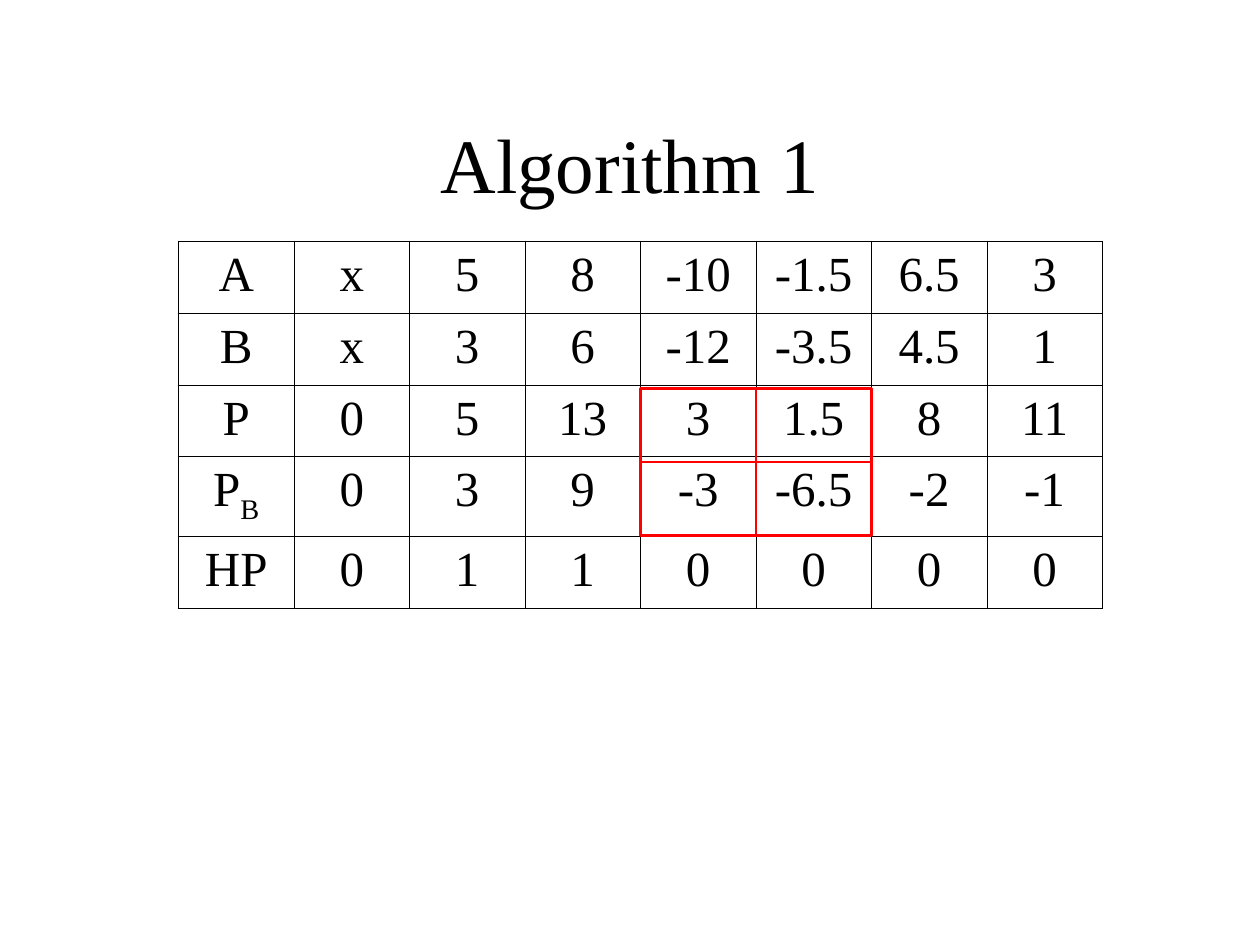
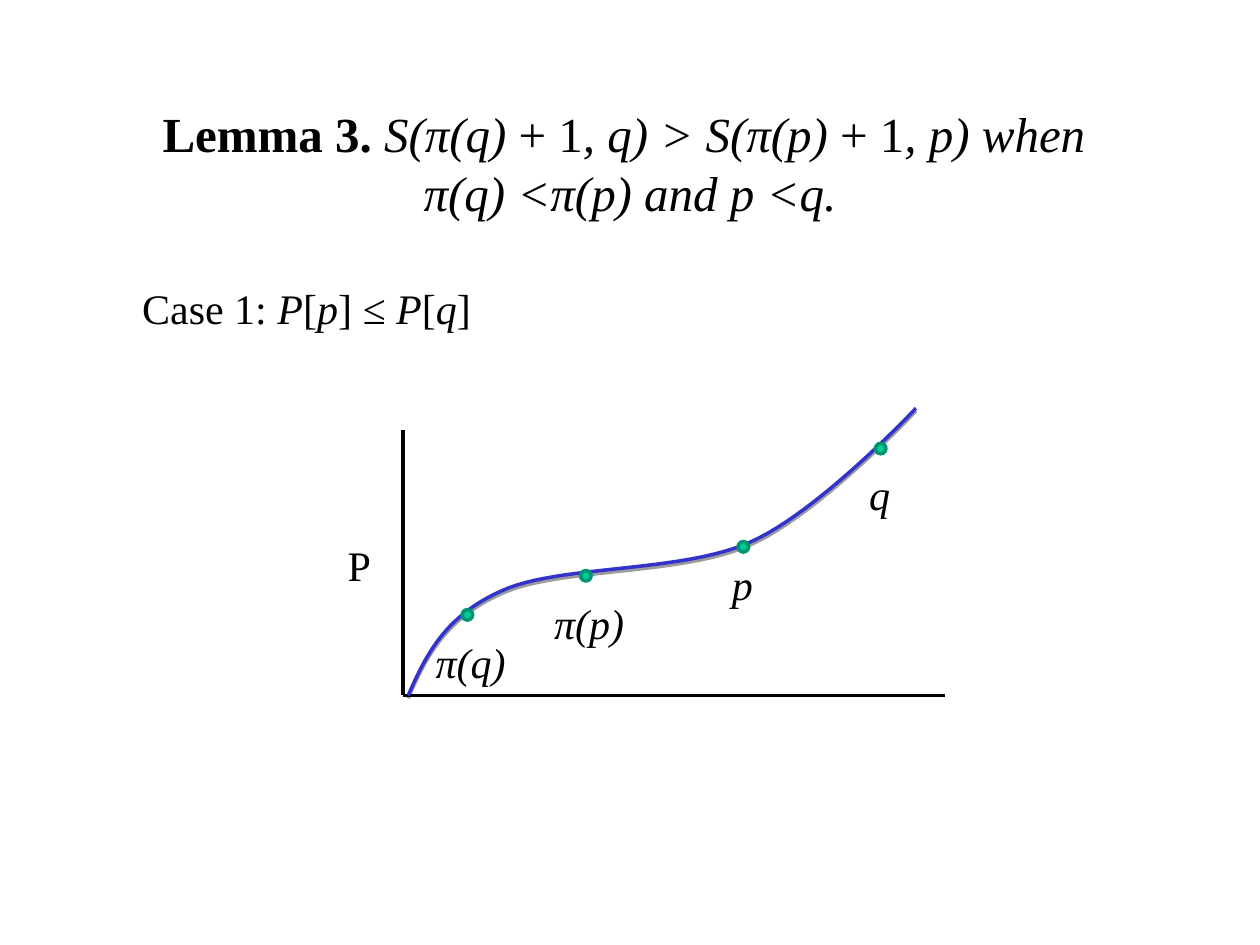
import dataclasses

import lxml.etree
import pptx
import pptx.dml.color
import pptx.enum.dml
import pptx.enum.shapes
import pptx.enum.text
import pptx.oxml.ns
import pptx.util

COLS, ROWS = 120, 90
qn = pptx.oxml.ns.qn
Align = pptx.enum.text.PP_ALIGN
Shape = pptx.enum.shapes.MSO_SHAPE


@dataclasses.dataclass(frozen=True)
class Theme:
    font: str = "Times New Roman"
    ink: str = "000000"
    paper: str = "FFFFFF"
    mark: str = "FF0000"
    curve: str = "3333CC"
    dot: str = "00CC99"
    rim: str = "00956F"
    title: int = 44
    large: int = 28
    body: int = 24
    thick: float = 2
    frame: float = 1.5
    edge: float = 1.08
    thin: float = 0.45


def tint(code):
    return pptx.dml.color.RGBColor.from_string(code)


def write(frame, text, *, theme, size, align=Align.LEFT):
    para = frame.paragraphs[0]
    para.alignment = align
    runs = [(text, "")] if isinstance(text, str) else text
    for part, style in runs:
        if part == "\n":
            para.add_line_break()
            continue
        run = para.add_run()
        run.text = part
        font = run.font
        font.name, font.size = theme.font, pptx.util.Pt(size)
        font.bold, font.italic = "b" in style, "i" in style
        font.color.rgb = tint(theme.ink)
        if "_" in style:
            run._r.get_or_add_rPr().set("baseline", "-25000")


def sample(start, bends, steps=24):
    points = [start]
    for one, two, end in bends:
        for step in range(1, steps + 1):
            t = step / steps
            u = 1 - t
            points.append(tuple(
                u**3 * a + 3 * u * u * t * b + 3 * u * t * t * c + t**3 * d
                for a, b, c, d in zip(start, one, two, end)))
        start = end
    return points


class Deck:
    def __init__(self, theme):
        self.theme = theme
        self.show = pptx.Presentation()
        self.show.slide_width = pptx.util.Inches(10)
        self.show.slide_height = pptx.util.Inches(7.5)
        self.slide = None

    def x(self, cols):
        return round(self.show.slide_width * cols / COLS)

    def y(self, rows):
        return round(self.show.slide_height * rows / ROWS)

    def box(self, left, top, wide, high):
        return self.x(left), self.y(top), self.x(wide), self.y(high)

    def page(self, text, size):
        self.slide = self.show.slides.add_slide(self.show.slide_layouts[5])
        fill = self.slide.background.fill
        fill.solid()
        fill.fore_color.rgb = tint(self.theme.paper)
        head = self.slide.shapes.title
        head.left, head.top, head.width, head.height = self.box(9, 8, 102, 15)
        frame = head.text_frame
        frame.word_wrap = True
        frame.auto_size = pptx.enum.text.MSO_AUTO_SIZE.NONE
        frame.vertical_anchor = pptx.enum.text.MSO_ANCHOR.MIDDLE
        write(frame, text, theme=self.theme, size=size, align=Align.CENTER)

    def label(self, text, left, top, wide, high=6):
        item = self.slide.shapes.add_textbox(*self.box(left, top, wide, high))
        frame = item.text_frame
        frame.word_wrap = False
        frame.auto_size = pptx.enum.text.MSO_AUTO_SIZE.SHAPE_TO_FIT_TEXT
        write(frame, text, theme=self.theme, size=self.theme.body)

    def stroke(self, item, code, width):
        item.line.color.rgb = tint(code)
        item.line.width = pptx.util.Pt(width)

    def shape(self, kind, left, top, wide, high, line, width, fill=None):
        item = self.slide.shapes.add_shape(kind, *self.box(left, top, wide, high))
        item.shadow.inherit = False
        if fill:
            item.fill.solid()
            item.fill.fore_color.rgb = tint(fill)
        else:
            item.fill.background()
        self.stroke(item, line, width)

    def line(self, start, end):
        item = self.slide.shapes.add_connector(
            pptx.enum.shapes.MSO_CONNECTOR.STRAIGHT,
            self.x(start[0]), self.y(start[1]), self.x(end[0]), self.y(end[1]))
        self.stroke(item, self.theme.ink, self.theme.thick)
        lxml.etree.SubElement(item._element.spPr, qn("a:effectLst"))

    def curve(self, points):
        spots = [(self.x(a), self.y(b)) for a, b in points]
        build = self.slide.shapes.build_freeform(*spots[0])
        build.add_line_segments(spots[1:], close=False)
        item = build.convert_to_shape()
        item.fill.background()
        self.stroke(item, self.theme.curve, self.theme.thick)
        item.shadow.inherit = False
        shade = lxml.etree.SubElement(
            item._element.spPr.find(qn("a:effectLst")), qn("a:outerShdw"),
            blurRad="0", dist=str(pptx.util.Pt(1.6)), dir="5400000", rotWithShape="0")
        black = lxml.etree.SubElement(shade, qn("a:srgbClr"), val=self.theme.ink)
        lxml.etree.SubElement(black, qn("a:alpha"), val="38000")

    def border(self, cell, side, width):
        edge = lxml.etree.SubElement(
            cell._tc.get_or_add_tcPr(), qn("a:ln" + side), w=str(pptx.util.Pt(width)))
        fill = lxml.etree.SubElement(edge, qn("a:solidFill"))
        lxml.etree.SubElement(fill, qn("a:srgbClr"), val=self.theme.ink)

    def table(self, data, left, top, wide, highs):
        count = len(data[0])
        grid = self.slide.shapes.add_table(
            len(data), count, *self.box(left, top, wide * count, sum(highs))).table
        grid.first_row = grid.horz_banding = False
        for col in grid.columns:
            col.width = self.x(wide)
        for r, (row, high) in enumerate(zip(data, highs)):
            grid.rows[r].height = self.y(high)
            for c, text in enumerate(row):
                cell = grid.cell(r, c)
                outer = {"L": c == 0, "R": c == count - 1,
                         "T": r == 0, "B": r == len(data) - 1}
                for side, rim in outer.items():
                    self.border(cell, side, self.theme.edge if rim else self.theme.thin)
                cell.fill.background()
                write(cell.text_frame, text, theme=self.theme,
                      size=self.theme.large, align=Align.CENTER)


def steps(deck):
    theme = deck.theme
    deck.page("Algorithm 1", theme.title)
    data = [line.split() for line in (
        "A x 5 8 -10 -1.5 6.5 3",
        "B x 3 6 -12 -3.5 4.5 1",
        "P 0 5 13 3 1.5 8 11",
        "PB 0 3 9 -3 -6.5 -2 -1",
        "HP 0 1 1 0 0 0 0")]
    data[3][0] = [("P", ""), ("B", "_")]
    wide, high, left = 11, 7, 17
    deck.table(data, left, 23, wide, [6.84, 6.84, 6.84, 7.6, 6.84])
    for row in (1, 0):
        for col in (4, 5):
            deck.shape(Shape.RECTANGLE, left + col * wide, 37 + row * high,
                       wide, high, theme.mark, theme.frame)


def lemma(deck):
    theme = deck.theme
    deck.page([("Lemma 3. ", "b"), ("S(π(q) ", "i"), ("+ 1", ""),
               (", q) > S(π(p) ", "i"), ("+ 1", ""), (", p) when ", "i"),
               ("\n", ""), ("π(q) <π(p) and p <q.", "i")], theme.large)
    deck.label([("Case 1: ", ""), ("P", "i"), ("[", ""), ("p", "i"), ("] ", ""),
                ("≤ P", "i"), ("[", ""), ("q", "i"), ("]", "")], 12.36, 26.28, 33.72)
    base = (38.4, 66.24)
    deck.line(base, (90, base[1]))
    deck.line((base[0], 40.92), base)
    for text, style, left, top, wide in (
            ("q", "i", 81.6, 44.04, 4.32), ("π(p)", "i", 51.6, 56.28, 9.6),
            ("π(q)", "i", 40.32, 60, 9.6), ("P", "", 31.92, 50.76, 4.56),
            ("p", "i", 68.52, 52.56, 4.32)):
        deck.label([(text, style)], left, top, wide)
    deck.curve(sample((38.88, 66.24), [
        ((40.56, 62.4), (42.36, 58.68), (47.76, 56.28)),
        ((53.16, 53.76), (64.92, 54.6), (71.52, 51.6)),
        ((78, 48.72), (87.24, 38.88), (87.24, 38.88))]))
    size = 1
    for x, y in ((55.8, 54.84), (44.52, 58.56), (70.8, 52.08), (83.88, 42.72)):
        deck.shape(Shape.OVAL, x - size / 2, y - size / 2, size, size,
                   theme.rim, theme.thick, theme.dot)


def main():
    deck = Deck(Theme())
    steps(deck)
    lemma(deck)
    deck.show.save("out.pptx")


if __name__ == "__main__":
    main()
